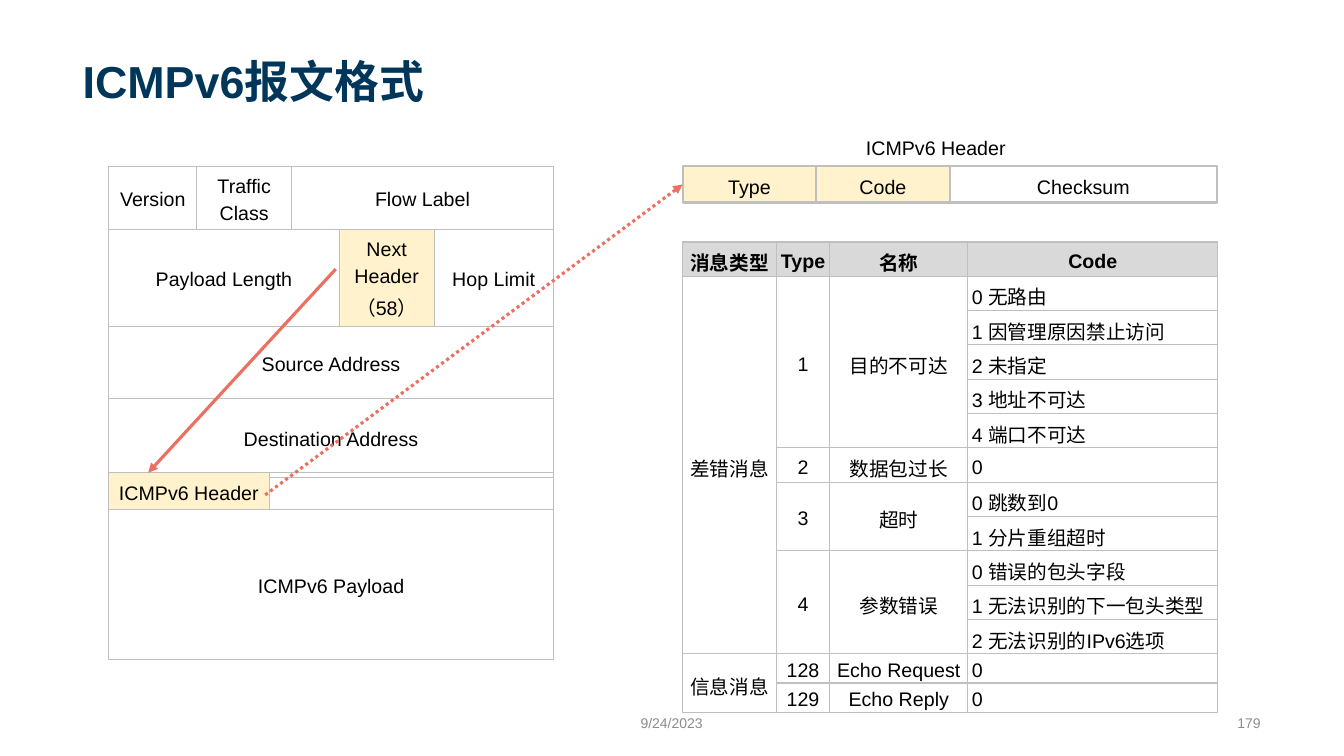
from dataclasses import dataclass

from lxml.etree import SubElement
from pptx import Presentation
from pptx.dml.color import RGBColor
from pptx.enum.dml import MSO_LINE_DASH_STYLE as Dash
from pptx.enum.shapes import MSO_CONNECTOR as Connector, MSO_SHAPE as Preset
from pptx.enum.text import MSO_ANCHOR as Anchor, MSO_AUTO_SIZE as AutoSize, PP_ALIGN as Align
from pptx.oxml import parse_xml
from pptx.oxml.ns import nsdecls, qn
from pptx.util import Inches, Pt

SLIDE_WIDTH, SLIDE_HEIGHT = Inches(13.33), Inches(7.5)


@dataclass(frozen=True)
class Theme:
    font: str = "Arial"
    title_color: str = "003659"
    text_color: str = "000000"
    footer_color: str = "8C8C8C"
    border: str = "BFBFBF"
    heading_fill: str = "D9D9D9"
    highlight: str = "FFF2CC"
    white: str = "FFFFFF"
    arrow: str = "EC7061"
    title_size: int = 32
    body_size: int = 14
    footer_size: int = 10
    line_spacing: float = 1.2


THEME = Theme()


@dataclass(frozen=True)
class Box:
    """A region in percent of the slide's width and height."""
    left: float
    top: float
    width: float
    height: float

    def emu(self):
        return (across(self.left), down(self.top), across(self.width), down(self.height))


def across(percent):
    return round(SLIDE_WIDTH * percent / 100)


def down(percent):
    return round(SLIDE_HEIGHT * percent / 100)


def write(frame, text, align=Align.CENTER, size=THEME.body_size,
          color=THEME.text_color, bold=False):
    paragraph = frame.paragraphs[0]
    paragraph.alignment = align
    paragraph.line_spacing = THEME.line_spacing
    run = paragraph.add_run()
    run.text = text
    run.font.name, run.font.size, run.font.bold = THEME.font, Pt(size), bold
    run.font.color.rgb = RGBColor.from_string(color)


def set_fill(fill, color):
    if color:
        fill.solid()
        fill.fore_color.rgb = RGBColor.from_string(color)
    else:
        fill.background()


# Tables
def add_grid(slide, box, column_weights, row_weights, margins):
    """Add a bordered table whose columns and rows share out the box."""
    left, top, width, height = box.emu()
    table = slide.shapes.add_table(
        len(row_weights), len(column_weights), left, top, width, height).table
    table.first_row = table.horz_banding = False
    for column, weight in zip(table.columns, column_weights):
        column.width = round(width * weight / sum(column_weights))
    for row, weight in zip(table.rows, row_weights):
        row.height = round(height * weight / sum(row_weights))
    for cell in table.iter_cells():
        cell.margin_left = cell.margin_right = Inches(margins[0])
        cell.margin_top = cell.margin_bottom = Inches(margins[1])
        cell.vertical_anchor = Anchor.MIDDLE
        cell.fill.background()
        properties = cell._tc.get_or_add_tcPr()
        for position, side in enumerate("LRTB"):
            properties.insert(position, parse_xml(
                f'<a:ln{side} {nsdecls("a")} w="{Pt(1)}"><a:solidFill>'
                f'<a:srgbClr val="{THEME.border}"/></a:solidFill></a:ln{side}>'))
    return table


def put(table, row, column, text, rows=1, columns=1, fill=None, **style):
    cell = table.cell(row, column)
    if rows > 1 or columns > 1:
        cell.merge(table.cell(row + rows - 1, column + columns - 1))
    set_fill(cell.fill, fill)
    write(cell.text_frame, text, **style)


def add_ip_header(slide, box):
    table = add_grid(slide, box, (0.87, 0.94, 0.47, 0.94, 1.18),
                     (0.57, 0.8, 0.71, 0.79), (0.1, 0.05))
    fields = [  # row, column, columns spanned, text
        (0, 0, 1, "Version"), (0, 1, 1, "Traffic Class"), (0, 2, 3, "Flow Label"),
        (1, 0, 3, "Payload Length"), (1, 3, 1, "Next Header（58）"), (1, 4, 1, "Hop Limit"),
        (2, 0, 5, "Source Address"), (3, 0, 5, "Destination Address"),
    ]
    for row, column, columns, text in fields:
        fill = THEME.highlight if text.startswith("Next") else THEME.white
        put(table, row, column, text, columns=columns, fill=fill)


def add_payload(slide, box):
    table = add_grid(slide, box, (1.59, 2.82), (0.35, 1.49), (0.1, 0.05))
    put(table, 0, 0, "ICMPv6 Header", fill=THEME.highlight, align=Align.LEFT)
    put(table, 1, 0, "ICMPv6 Payload", columns=2)
    blank = table.cell(0, 1)
    blank.margin_top = blank.margin_bottom = 0


MESSAGES = [
    ("差错消息", [
        ("1", "目的不可达", ["0 无路由", "1 因管理原因禁止访问", "2 未指定",
                        "3 地址不可达", "4 端口不可达"]),
        ("2", "数据包过长", ["0"]),
        ("3", "超时", ["0 跳数到0", "1 分片重组超时"]),
        ("4", "参数错误", ["0 错误的包头字段", "1 无法识别的下一包头类型",
                       "2 无法识别的IPv6选项"]),
    ]),
    ("信息消息", [("128", "Echo Request", ["0"]), ("129", "Echo Reply", ["0"])]),
]


def add_messages(slide, box):
    table = add_grid(slide, box, (0.93, 0.53, 1.37, 2.48), [1] * 14, (0.04, 0))
    for column, heading in enumerate(("消息类型", "Type", "名称", "Code")):
        put(table, 0, column, heading, fill=THEME.heading_fill, bold=True)
    row = 1
    for kind, types in MESSAGES:
        put(table, row, 0, kind, rows=sum(len(codes) for _, _, codes in types))
        for number, name, codes in types:
            put(table, row, 1, number, rows=len(codes))
            put(table, row, 2, name, rows=len(codes))
            for code in codes:
                put(table, row, 3, code, align=Align.LEFT)
                row += 1


# ICMPv6 header fields: two quarters and a half of the box
def add_icmp_header(slide, box):
    fields, left = [], box.left
    for text, share, fill in (("Type", 0.25, THEME.highlight),
                              ("Code", 0.25, THEME.highlight), ("Checksum", 0.5, None)):
        part = Box(left, box.top, box.width * share, box.height)
        shape = slide.shapes.add_shape(Preset.RECTANGLE, *part.emu())
        shape.shadow.inherit = False
        set_fill(shape.fill, fill)
        shape.line.color.rgb = RGBColor.from_string(THEME.border)
        shape.line.width = Pt(1.5)
        shape.text_frame.vertical_anchor = Anchor.MIDDLE
        write(shape.text_frame, text)
        fields.append(shape)
        left += part.width
    return fields


def add_arrow(slide, start, end, dash=None):
    arrow = slide.shapes.add_connector(
        Connector.STRAIGHT, across(start[0]), down(start[1]), across(end[0]), down(end[1]))
    arrow.line.color.rgb = RGBColor.from_string(THEME.arrow)
    arrow.line.width = Pt(2.25)
    if dash:
        arrow.line.dash_style = dash
    SubElement(arrow.line._get_or_add_ln(), qn("a:tailEnd"), type="triangle")
    SubElement(arrow._element.spPr, qn("a:effectLst"))
    return arrow


def add_label(slide, box, text, wrap=True, anchor=Anchor.MIDDLE, **style):
    frame = slide.shapes.add_textbox(*box.emu()).text_frame
    frame.word_wrap, frame.vertical_anchor = wrap, anchor
    write(frame, text, **style)


def add_title(slide, box, text):
    title = slide.shapes.title
    title.left, title.top, title.width, title.height = box.emu()
    frame = title.text_frame
    frame.auto_size, frame.vertical_anchor = AutoSize.NONE, Anchor.BOTTOM
    write(frame, text, align=Align.LEFT, size=THEME.title_size,
          color=THEME.title_color, bold=True)


def add_footer(slide, date_box, page_box):
    style = {"size": THEME.footer_size, "color": THEME.footer_color}
    add_label(slide, date_box, "9/24/2023", **style)
    add_label(slide, page_box, "179", align=Align.RIGHT, **style)


def main():
    presentation = Presentation()
    presentation.slide_width, presentation.slide_height = SLIDE_WIDTH, SLIDE_HEIGHT
    slide = presentation.slides.add_slide(presentation.slide_layouts[5])
    add_title(slide, Box(5.4, 1.87, 89.12, 13.07), "ICMPv6报文格式")
    add_messages(slide, Box(50.79, 32, 39.83, 54.13))
    add_ip_header(slide, Box(8.1, 22, 33.08, 38.27))
    add_payload(slide, Box(8.1, 62.53, 33.08, 24.53))
    add_arrow(slide, (24.98, 35.6), (11.03, 62.53))
    type_field = add_icmp_header(slide, Box(50.79, 22, 39.76, 4.8))[0]
    add_arrow(slide, (19.73, 65.47), (50.79, 24.4),
              Dash.ROUND_DOT).end_connect(type_field, 1)
    add_label(slide, Box(63.69, 16.67, 12, 4.8), "ICMPv6 Header", wrap=False,
              anchor=Anchor.TOP, align=Align.LEFT)
    add_footer(slide, Box(38.71, 93.47, 22.51, 4), Box(63.77, 93.47, 30.76, 4))
    presentation.save("out.pptx")


if __name__ == "__main__":
    main()
